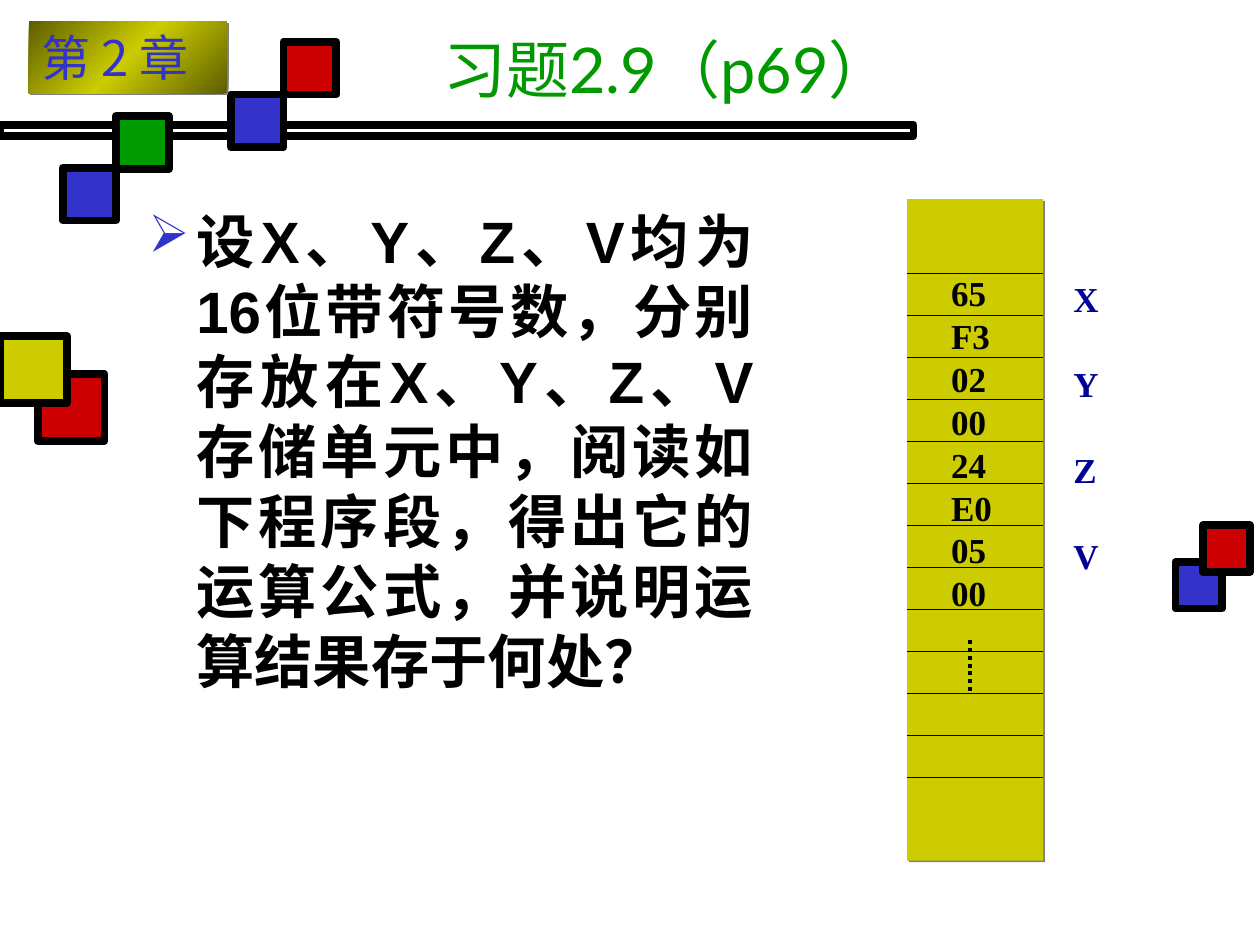
"""Build the exercise 2.9 slide with its memory map of X, Y, Z and V."""
from pptx import Presentation
from pptx.dml.color import RGBColor
from pptx.enum.dml import MSO_LINE
from pptx.enum.shapes import MSO_CONNECTOR, MSO_SHAPE
from pptx.enum.text import MSO_ANCHOR, PP_ALIGN
from pptx.oxml import parse_xml
from pptx.oxml.ns import nsdecls
from pptx.util import Inches, Pt

CHAPTER = "第 2 章"
TITLE = "习题2.9（p69）"
QUESTION = ("设X、Y、Z、V均为16位带符号数，分别存放在X、Y、Z、V存储单元中，"
            "阅读如下程序段，得出它的运算公式，并说明运算结果存于何处？")
BYTES = ["65", "F3", "02", "00", "24", "E0", "05", "00"]
VARIABLES = ["X", "Y", "Z", "V"]

THEME = {
    "black": "000000", "blue": "3333CC", "red": "CC0000", "green": "009900",
    "yellow": "CCCC00", "olive": "5E5E00", "navy": "000099", "shadow": "808080",
    "chapter_size": 28, "title_size": 36, "question_size": 33.3, "memory_size": 20,
    "frame": 4.5, "rule": 0.75, "dots": 2.25,
}
SQUARE_GROUPS = [
    (0.37, [(9.33, 4.46, "blue"), (9.55, 4.17, "red")]),
    (0.42, [(1.83, 0.75, "blue"), (0.5, 1.33, "blue"),
            (0.92, 0.92, "green"), (2.25, 0.33, "red")]),
    (0.53, [(0.3, 2.97, "red"), (0, 2.67, "yellow")]),
]
MEMORY = {"left": 7.2, "top": 1.58, "width": 1.08, "height": 5.25}
FIRST_RULE, RULE_GAP, RULE_COUNT = 2.17, 1 / 3, 13


def color(name):
    return RGBColor.from_string(THEME[name])


def apply(target, values):
    for name, value in values.items():
        setattr(target, name, value)


def add_rectangle(shapes, left, top, width, height, fill=None, framed=False):
    box = shapes.add_shape(MSO_SHAPE.RECTANGLE, *map(Inches, (left, top, width, height)))
    box.shadow.inherit = False
    if fill:
        box.fill.solid()
        box.fill.fore_color.rgb = color(fill)
    else:
        box.fill.background()
    if framed:
        box.line.color.rgb = color("black")
        box.line.width = Pt(THEME["frame"])
    else:
        box.line.fill.background()
    return box


def add_shadow(box):
    effects = box._element.spPr.find(
        "{http://schemas.openxmlformats.org/drawingml/2006/main}effectLst")
    effects.append(parse_xml(
        f'<a:outerShdw {nsdecls("a")} dist="17780" dir="2700000">'
        f'<a:srgbClr val="{THEME["shadow"]}"/></a:outerShdw>'))


def add_gradient(box):
    box.fill.gradient()
    fill = box._element.spPr.find(
        "{http://schemas.openxmlformats.org/drawingml/2006/main}gradFill")
    stops = "".join(f'<a:gs pos="{position}"><a:srgbClr val="{THEME[name]}"/></a:gs>'
                    for position, name in [(0, "olive"), (50000, "yellow"), (100000, "olive")])
    fill.getparent().replace(fill, parse_xml(
        f'<a:gradFill {nsdecls("a")} rotWithShape="1"><a:gsLst>{stops}</a:gsLst>'
        '<a:lin ang="2700000" scaled="1"/></a:gradFill>'))


def add_line(page, start, end, weight):
    line = page.shapes.add_connector(
        MSO_CONNECTOR.STRAIGHT, *map(Inches, (*start, *end)))
    line._element.spPr.append(parse_xml(f'<a:effectLst {nsdecls("a")}/>'))
    line.line.color.rgb = color("black")
    line.line.width = Pt(THEME[weight])
    return line


def write(box, lines, font, size, fill, bold=False, frame=None, layout=None):
    text = box.text_frame
    apply(text, {"word_wrap": True, "vertical_anchor": MSO_ANCHOR.TOP, **(frame or {})})
    for index, content in enumerate(lines):
        para = text.paragraphs[0] if index == 0 else text.add_paragraph()
        apply(para, {"alignment": PP_ALIGN.LEFT, **(layout or {})})
        span = para.add_run()
        span.text = content
        apply(span.font, {"name": font, "size": Pt(THEME[size]), "bold": bold})
        span.font.color.rgb = color(fill)
    return text


def add_text(page, place, *content, **options):
    box = page.shapes.add_textbox(*map(Inches, place))
    return write(box, *content, **options)


def add_bullet(para):
    properties = para._p.get_or_add_pPr()
    apply_indent = {"marL": Inches(0.38), "indent": -Inches(0.38)}
    for name, value in apply_indent.items():
        properties.set(name, str(value))
    for item in (f'<a:buClr {nsdecls("a")}><a:srgbClr val="{THEME["blue"]}"/></a:buClr>',
                 f'<a:buSzPct {nsdecls("a")} val="90000"/>',
                 f'<a:buChar {nsdecls("a")} char="➢"/>'):
        properties.append(parse_xml(item))


def add_decoration(page):
    add_rectangle(page.shapes, 0, 0.99, 7.25, 0.09, framed=True)
    for side, squares in SQUARE_GROUPS:
        group = page.shapes.add_group_shape()
        for left, top, fill in squares:
            add_rectangle(group.shapes, left, top, side, side, fill, framed=True)
    badge = add_rectangle(page.shapes, 0.23, 0.17, 1.57, 0.57)
    add_gradient(badge)
    add_shadow(badge)
    write(badge, [CHAPTER], "Noto Sans CJK JP", "chapter_size", "blue",
          frame={"word_wrap": False})


def add_memory(page):
    left, right = MEMORY["left"], MEMORY["left"] + MEMORY["width"]
    add_shadow(add_rectangle(page.shapes, *MEMORY.values(), fill="yellow"))
    for index in range(RULE_COUNT):
        height = FIRST_RULE + index * RULE_GAP
        add_line(page, (left, height), (right, height), "rule")
    font = ("Times New Roman", "memory_size")
    add_text(page, (8.42, 2.15, 0.4, 2.44), VARIABLES, *font, "navy", bold=True,
             frame={"word_wrap": False}, layout={"space_before": Pt(25)})
    add_text(page, (7.45, 2.25, 0.67, 2.99), BYTES, *font, "black", bold=True,
             layout={"line_spacing": 0.5, "space_before": Pt(12.5)})
    dots = add_line(page, (7.7, 5.08), (7.7, 5.5), "dots")
    dots.line.dash_style = MSO_LINE.ROUND_DOT


def main():
    deck = Presentation()
    apply(deck, {"slide_width": Inches(10), "slide_height": Inches(7.5)})
    page = deck.slides.add_slide(deck.slide_layouts[6])
    add_decoration(page)
    add_text(page, (3.42, 0.08, 6.58, 0.92), [TITLE], "Lato", "title_size", "green",
             frame={"vertical_anchor": MSO_ANCHOR.MIDDLE},
             layout={"alignment": PP_ALIGN.JUSTIFY})
    question = add_text(page, (1.08, 1.58, 5, 5.17), [QUESTION], "Arial", "question_size",
                        "black", bold=True,
                        layout={"alignment": PP_ALIGN.JUSTIFY, "space_before": Pt(9)})
    add_bullet(question.paragraphs[0])
    add_memory(page)
    deck.save("out.pptx")


if __name__ == "__main__":
    main()
